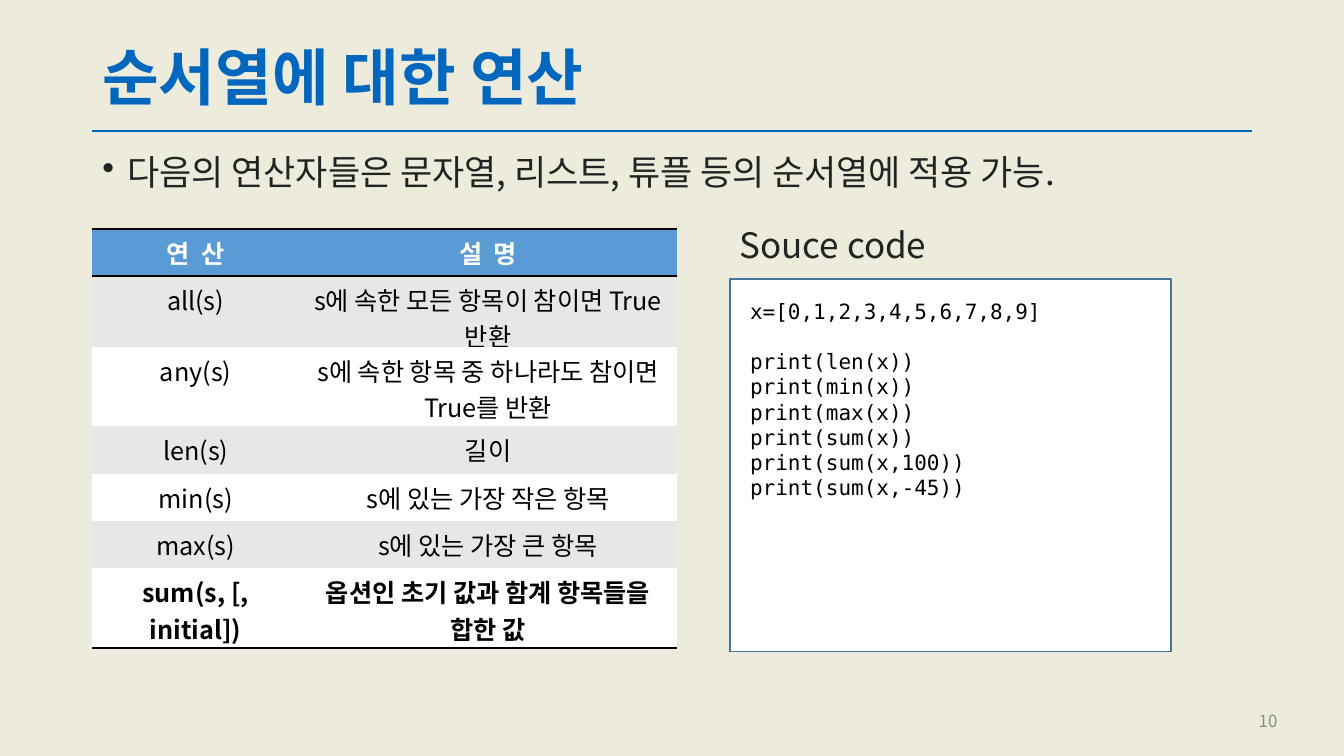
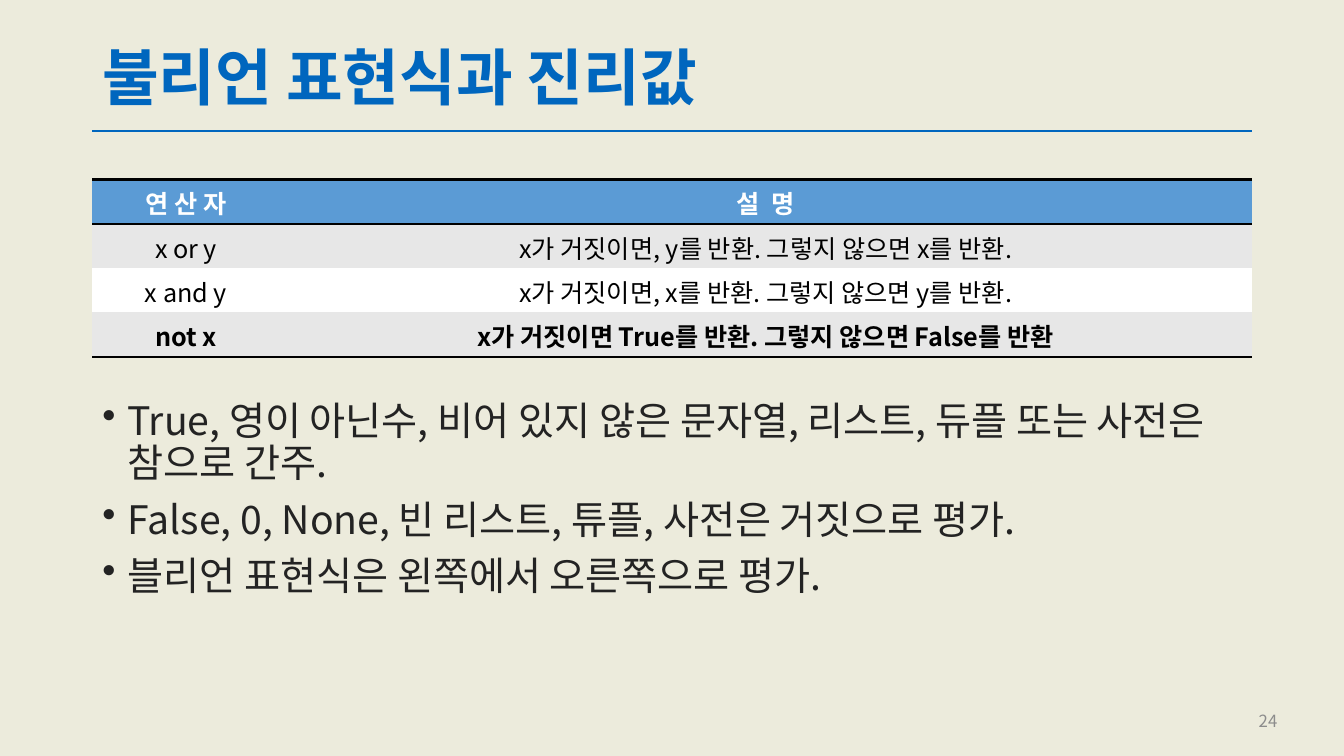
from dataclasses import dataclass

from lxml.etree import SubElement
from pptx import Presentation
from pptx.dml.color import RGBColor as RGB
from pptx.enum.shapes import MSO_CONNECTOR as Conn, MSO_SHAPE as Shp
from pptx.enum.text import MSO_ANCHOR as Anchor, PP_ALIGN as Al
from pptx.oxml import parse_xml
from pptx.oxml.ns import nsdecls, qn
from pptx.util import Inches, Pt

COLORS = {
    "bg": "ECEBDC", "title": "0066BE", "body": "232323", "number": "8C8C8C",
    "head": "5B9BD5", "odd": "E7E7E7", "even": "FFFFFF", "black": "000000",
    "white": "FFFFFF", "frame": "43739E",
}
SANS, MONO = "Noto Sans CJK KR", "DejaVu Sans Mono"
COLS, ROWS = 160, 90
UNIT = Inches(1) / 12
NO_STYLE = "{2D5ABB26-0587-4C30-8999-92F81FD0307C}"


@dataclass(frozen=True)
class Box:
    col: float
    row: float
    cols: float
    rows: float

    def emu(self) -> tuple[int, ...]:
        return tuple(map(grid, (self.col, self.row, self.cols, self.rows)))


@dataclass(frozen=True)
class Style:
    size: float
    color: str
    font: str = SANS
    bold: bool = False
    align: Al = Al.LEFT
    line: float | None = None
    before: float = 0
    bullet: bool = False


@dataclass(frozen=True)
class TableSpec:
    col: float
    row: float
    widths: tuple[float, ...]
    heights: tuple[float, ...]
    cells: tuple[tuple[str, ...], ...]


MARGIN, WIDTH = 11, 138
TITLE_BOX = Box(MARGIN, 4.8, WIDTH, 9.6)
NUMBER_BOX = Box(117.25, 83.4, 36, 4.8)
RULE_ROW = 15.6
TITLE = Style(44, "title", bold=True, line=0.9)
NUMBER = Style(12, "number", align=Al.RIGHT)
LEAD = Style(25, "body", line=0.9, before=10, bullet=True)
LABEL = Style(25, "body", line=0.9, before=10)
POINT = Style(28, "body", line=0.9, before=10, bullet=True)
CODE = Style(15, "black", MONO)
CODE_BREAK = Style(15, "black", MONO, before=17.5)
HEAD_CELL = Style(18, "white", bold=True, align=Al.CENTER)
CELL = Style(18, "black", align=Al.CENTER)
LAST_CELL = Style(18, "black", bold=True, align=Al.CENTER)


def grid(n: float) -> int:
    return round(n * UNIT)


def rgb(name: str) -> RGB:
    return RGB.from_string(COLORS[name])


def write(p, text: str, st: Style) -> None:
    p.add_run().text = text
    p.alignment = st.align
    p.space_before = Pt(st.before)
    if st.line:
        p.line_spacing = st.line
    f = p.font
    f.size, f.bold, f.name = Pt(st.size), st.bold, st.font
    f.color.rgb = rgb(st.color)
    pPr = p._p.get_or_add_pPr()
    defaults = pPr.find(qn("a:defRPr"))
    SubElement(defaults, qn("a:ea")).set("typeface", st.font)
    if st.bullet:
        pPr.set("marL", str(Inches(0.25)))
        pPr.set("indent", str(-Inches(0.25)))
        defaults.addprevious(parse_xml(f'<a:buChar {nsdecls("a")} char="•"/>'))


def fill_text(tf, lines: list[tuple[str, Style]], anchor: Anchor) -> None:
    tf.word_wrap = True
    tf.vertical_anchor = anchor
    for i, (text, st) in enumerate(lines):
        write(tf.add_paragraph() if i else tf.paragraphs[0], text, st)


def add_text(s, box: Box, st: Style, *lines: str, anchor: Anchor = Anchor.TOP) -> None:
    tf = s.shapes.add_textbox(*box.emu()).text_frame
    fill_text(tf, [(text, st) for text in lines], anchor)


def add_border(tcPr, side: str, index: int) -> None:
    tcPr.insert(index, parse_xml(
        f'<a:{side} {nsdecls("a")} w="{Pt(2)}"><a:solidFill>'
        f'<a:srgbClr val="{COLORS["black"]}"/></a:solidFill></a:{side}>'))


def add_table(s, spec: TableSpec) -> None:
    box = Box(spec.col, spec.row, sum(spec.widths), sum(spec.heights))
    last = len(spec.cells) - 1
    tbl = s.shapes.add_table(last + 1, len(spec.widths), *box.emu()).table
    tbl.first_row = tbl.horz_banding = False
    tbl._tbl.tblPr.find(qn("a:tableStyleId")).text = NO_STYLE
    for column, width in zip(tbl.columns, spec.widths):
        column.width = grid(width)
    for i, (row, height, texts) in enumerate(zip(tbl.rows, spec.heights, spec.cells)):
        row.height = grid(height)
        st = {0: HEAD_CELL, last: LAST_CELL}.get(i, CELL)
        band = "head" if i == 0 else "odd" if i % 2 else "even"
        sides = {0: ("lnT", "lnB"), last: ("lnB",)}.get(i, ())
        for cell, text in zip(row.cells, texts):
            cell.fill.solid()
            cell.fill.fore_color.rgb = rgb(band)
            write(cell.text_frame.paragraphs[0], text, st)
            for n, side in enumerate(sides):
                add_border(cell._tc.get_or_add_tcPr(), side, n)


def add_code(s, box: Box, *blocks: tuple[str, ...]) -> None:
    sp = s.shapes.add_shape(Shp.RECTANGLE, *box.emu())
    sp.shadow.inherit = False
    sp.fill.solid()
    sp.fill.fore_color.rgb = rgb("white")
    sp.line.color.rgb = rgb("frame")
    sp.line.width = Pt(1)
    tf = sp.text_frame
    tf.margin_left = tf.margin_right = tf.margin_top = tf.margin_bottom = Inches(0.2)
    lines = [(text, CODE_BREAK if b and not i else CODE)
             for b, block in enumerate(blocks) for i, text in enumerate(block)]
    fill_text(tf, lines, Anchor.TOP)


def add_slide(prs, title: str, number: int):
    s = prs.slides.add_slide(prs.slide_layouts[6])
    s.background.fill.solid()
    s.background.fill.fore_color.rgb = rgb("bg")
    y = grid(RULE_ROW)
    rule = s.shapes.add_connector(Conn.STRAIGHT, grid(MARGIN), y, grid(MARGIN + WIDTH), y)
    rule.line.color.rgb = rgb("title")
    rule.line.width = Pt(1.5)
    SubElement(rule._element.spPr, qn("a:effectLst"))
    add_text(s, TITLE_BOX, TITLE, title, anchor=Anchor.MIDDLE)
    add_text(s, NUMBER_BOX, NUMBER, str(number), anchor=Anchor.MIDDLE)
    return s


SEQUENCE_TABLE = TableSpec(
    MARGIN, 27.24, (24.6, 45), (5.64, 5.64, 9.48, 5.64, 5.64, 5.64, 9.48), (
        ("연  산", "설  명"),
        ("all(s)", "s에 속한 모든 항목이 참이면 True 반환"),
        ("any(s)", "s에 속한 항목 중 하나라도 참이면 True를 반환"),
        ("len(s)", "길이"),
        ("min(s)", "s에 있는 가장 작은 항목"),
        ("max(s)", "s에 있는 가장 큰 항목"),
        ("sum(s, [, initial])", "옵션인 초기 값과 함계 항목들을 합한 값"),
    ))
BOOLEAN_TABLE = TableSpec(
    MARGIN, 21.36, (22.3, 115.7), (5.28,) * 4, (
        ("연 산 자", "설  명"),
        ("x or y", "x가 거짓이면, y를 반환. 그렇지 않으면 x를 반환."),
        ("x and y", "x가 거짓이면, x를 반환. 그렇지 않으면 y를 반환."),
        ("not x", "x가 거짓이면 True를 반환. 그렇지 않으면 False를 반환"),
    ))

prs = Presentation()
prs.slide_width, prs.slide_height = grid(COLS), grid(ROWS)

s = add_slide(prs, "순서열에 대한 연산", 10)
add_text(s, Box(MARGIN, 17.9, WIDTH, 7.7), LEAD,
         "다음의 연산자들은 문자열, 리스트, 튜플 등의 순서열에 적용 가능.")
add_table(s, SEQUENCE_TABLE)
add_code(s, Box(86.9, 33.2, 52.5, 44.4),
         ("x=[0,1,2,3,4,5,6,7,8,9]",),
         ("print(len(x))", "print(min(x))", "print(max(x))", "print(sum(x))",
          "print(sum(x,100))", "print(sum(x,-45))"))
add_text(s, Box(86.9, 26.6, 30.5, 6.6), LABEL, "Souce code")

s = add_slide(prs, "불리언 표현식과 진리값", 24)
add_table(s, BOOLEAN_TABLE)
add_text(s, Box(MARGIN, 47.2, WIDTH, 31.4), POINT,
         "True, 영이 아닌수, 비어 있지 않은 문자열, 리스트, 듀플 또는 사전은 참으로 간주.",
         "False, 0, None, 빈 리스트, 튜플, 사전은 거짓으로 평가.",
         "블리언 표현식은 왼쪽에서 오른쪽으로 평가.")

prs.save("out.pptx")
